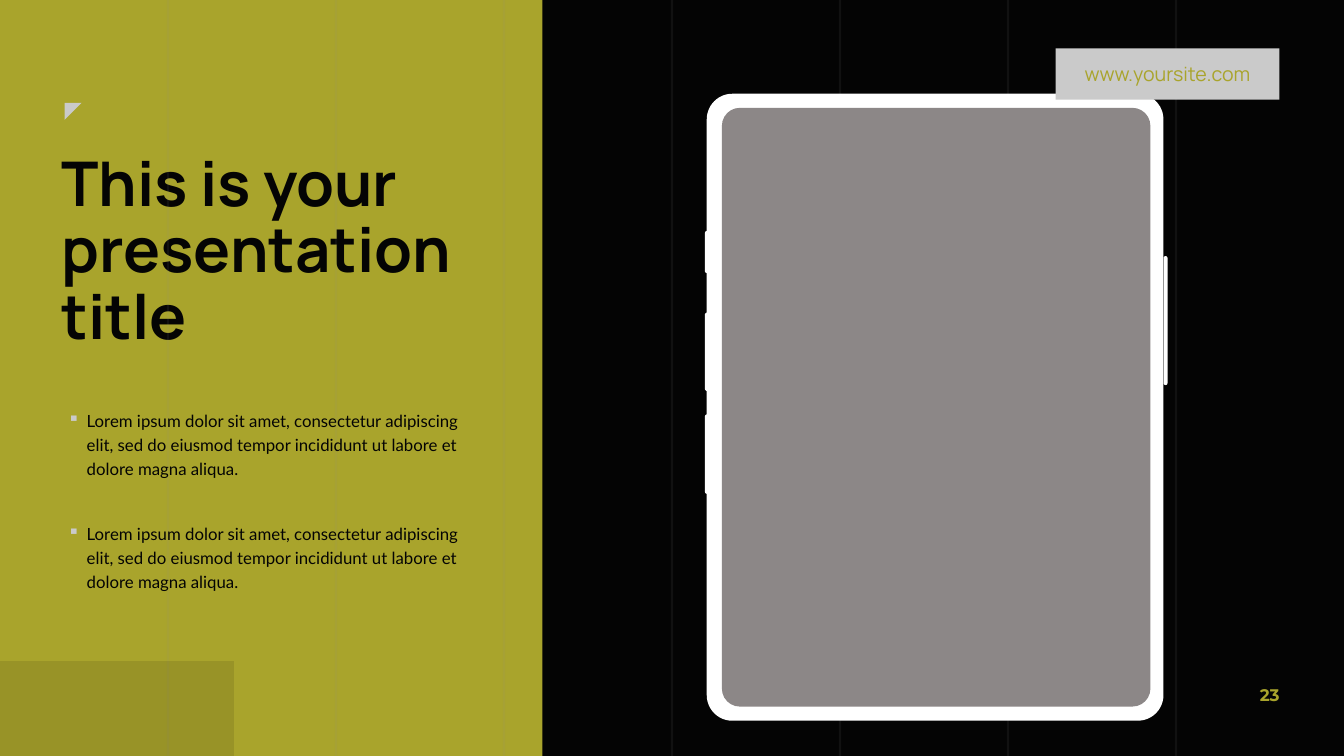
import pptx
import pptx.dml.color
import pptx.enum.shapes
import pptx.enum.text
import pptx.oxml
import pptx.oxml.ns
import pptx.util

Inches = pptx.util.Inches
Pt = pptx.util.Pt
RGBColor = pptx.dml.color.RGBColor
Preset = pptx.enum.shapes.MSO_SHAPE
Anchor = pptx.enum.text.MSO_ANCHOR
Align = pptx.enum.text.PP_ALIGN
qn = pptx.oxml.ns.qn

WIDTH, HEIGHT = 13.33, 7.5
GRID_COLUMNS = 8
OLIVE = RGBColor(0xA9, 0xA4, 0x2C)
BLACK = RGBColor(0x04, 0x04, 0x04)
GREY = RGBColor(0x8C, 0x87, 0x87)
SILVER = RGBColor(0xCA, 0xCA, 0xCA)
WHITE = RGBColor(0xFF, 0xFF, 0xFF)
PANEL_LEFT = 5.38
SIDE_BUTTONS = [
    (11.54, 2.54, 0.04, 1.28),
    (6.99, 2.29, 0.05, 0.42),
    (6.99, 3.1, 0.05, 0.78),
    (6.99, 4.11, 0.05, 0.79),
]
TITLE_LINES = ["This is your presentation", "title"]
BULLETS = [
    "Lorem ipsum dolor sit amet, consectetur adipiscing elit, "
    "sed do eiusmod tempor incididunt ut labore et dolore magna aliqua."
] * 2


def to_lengths(place):
    return [Inches(length) for length in place]


def add_element(parent, tag, **attributes):
    element = parent.makeelement(qn(tag), attributes)
    parent.append(element)
    return element


def set_opacity(shape, percent):
    color = next(shape.element.spPr.iter(qn("a:srgbClr")))
    add_element(color, "a:alpha", val=str(percent * 1000))


def add_block(slide, preset, place, color, corner=None):
    shape = slide.shapes.add_shape(preset, *to_lengths(place))
    shape.shadow.inherit = False
    shape.fill.solid()
    shape.fill.fore_color.rgb = color
    shape.line.fill.background()
    if corner is not None:
        shape.adjustments[0] = corner
    return shape


def add_grid_line(slide, column):
    left = Inches(WIDTH * column / GRID_COLUMNS)
    line = slide.shapes.add_connector(
        pptx.enum.shapes.MSO_CONNECTOR.STRAIGHT, left, 0, left, Inches(HEIGHT))
    line.line.color.rgb = GREY
    line.line.width = Pt(1.5)
    set_opacity(line, 10)
    add_element(line.element.spPr, "a:effectLst")


def add_run(paragraph, text, font, size, color, bold=False):
    run = paragraph.add_run()
    run.text = text
    run.font.name = font
    run.font.size = Pt(size)
    run.font.color.rgb = color
    run.font.bold = bold


def add_paragraphs(frame, texts):
    for index, text in enumerate(texts):
        paragraph = frame.add_paragraph() if index else frame.paragraphs[0]
        yield index, paragraph, text


def add_title(slide):
    title = slide.shapes.title
    title.left, title.top, title.width, title.height = to_lengths((0.51, 1.47, 4.45, 2.32))
    frame = title.text_frame
    frame.word_wrap = True
    frame.auto_size = pptx.enum.text.MSO_AUTO_SIZE.NONE
    frame.vertical_anchor = Anchor.TOP
    for _, paragraph, text in add_paragraphs(frame, TITLE_LINES):
        paragraph.alignment = Align.LEFT
        paragraph.line_spacing = 0.9
        paragraph.space_before = Pt(0)
        add_run(paragraph, text, "Manrope", 44, BLACK, bold=True)


def add_bullets(slide):
    frame = slide.shapes.add_textbox(*to_lengths((0.67, 4.03, 4.02, 1.85))).text_frame
    frame.word_wrap = True
    frame.margin_left = frame.margin_right = frame.margin_top = frame.margin_bottom = 0
    for index, paragraph, text in add_paragraphs(frame, BULLETS):
        paragraph.line_spacing = 1.2
        if index:
            paragraph.space_before = Pt(29)
        properties = paragraph._p.get_or_add_pPr()
        properties.set("marL", str(Inches(0.19)))
        properties.set("indent", str(-Inches(0.19)))
        bullet_color = add_element(properties, "a:buClr")
        add_element(bullet_color, "a:srgbClr", val=str(SILVER))
        add_element(properties, "a:buChar", char="▪")
        add_run(paragraph, text, "Lato", 12, BLACK)


def add_label(shape, text, font, size, alignment, bold=False):
    frame = shape.text_frame
    frame.word_wrap = True
    frame.vertical_anchor = Anchor.MIDDLE
    paragraph = frame.paragraphs[0]
    paragraph.alignment = alignment
    add_run(paragraph, text, font, size, OLIVE, bold)


def add_tablet(slide):
    for place in SIDE_BUTTONS:
        add_block(slide, Preset.ROUNDED_RECTANGLE, place, WHITE, 0.5)
    add_block(slide, Preset.ROUNDED_RECTANGLE, (7.01, 0.93, 4.53, 6.22), WHITE, 0.056)
    add_block(slide, Preset.ROUNDED_RECTANGLE, (7.16, 1.07, 4.25, 5.94), GREY, 0.042)


def main():
    presentation = pptx.Presentation()
    presentation.slide_width = Inches(WIDTH)
    presentation.slide_height = Inches(HEIGHT)
    slide = presentation.slides.add_slide(presentation.slide_layouts.get_by_name("Title Only"))
    slide.background.fill.solid()
    slide.background.fill.fore_color.rgb = OLIVE

    add_block(slide, Preset.RECTANGLE, (PANEL_LEFT, 0, WIDTH - PANEL_LEFT, HEIGHT), BLACK)
    for column in range(1, GRID_COLUMNS):
        add_grid_line(slide, column)
    corner_block = add_block(slide, Preset.RECTANGLE, (0, 6.56, 2.32, HEIGHT - 6.56), BLACK)
    set_opacity(corner_block, 10)
    marker = add_block(slide, Preset.RIGHT_TRIANGLE, (0.64, 1.02, 0.17, 0.17), SILVER)
    marker.rotation = 90

    add_tablet(slide)
    site = add_block(slide, Preset.RECTANGLE, (10.47, 0.48, 2.22, 0.51), SILVER)
    add_label(site, "www.yoursite.com", "Manrope", 14, Align.CENTER)
    add_title(slide)
    add_bullets(slide)
    page_number = slide.shapes.add_textbox(*to_lengths((12.34, 6.69, 0.45, 0.4)))
    add_label(page_number, "23", "Montserrat", 12, Align.RIGHT, bold=True)

    presentation.save("out.pptx")


if __name__ == "__main__":
    main()
